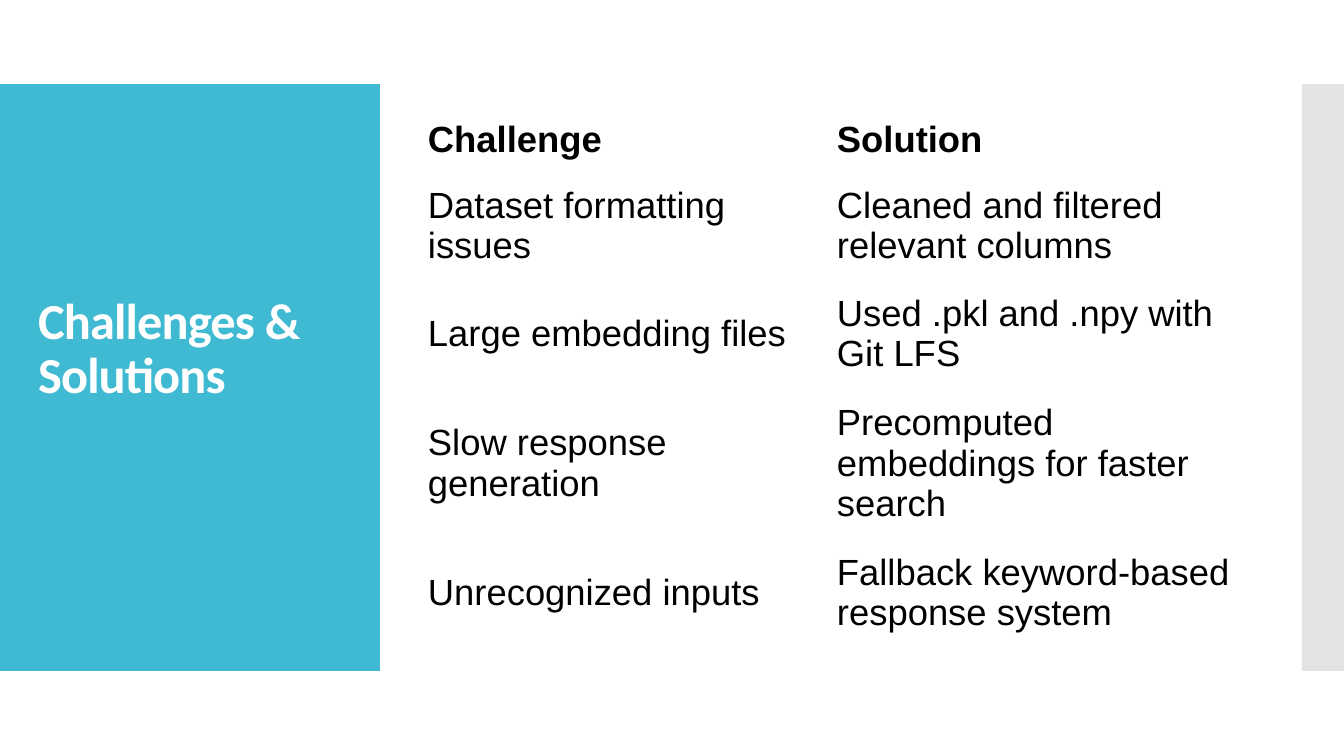
from pptx import Presentation
from pptx import util as u
from pptx.dml.color import RGBColor
from pptx.enum import shapes, text
from pptx.oxml import parse_xml
from pptx.oxml.ns import nsdecls, qn

# Content
TITLE = "Challenges & Solutions"
ROWS = [
    ("Challenge", "Solution"),
    ("Dataset formatting issues", "Cleaned and filtered relevant columns"),
    ("Large embedding files", "Used .pkl and .npy with Git LFS"),
    ("Slow response generation", "Precomputed embeddings for faster search"),
    ("Unrecognized inputs", "Fallback keyword-based response system"),
]

# Lengths in px
SLIDE_W, SLIDE_H = 1344, 756
BAND_TOP, BAND_H = 84, 587
TITLE_PANEL_W, EDGE_W = 380, 42
TITLE_BOX = (28, 124, 325, 507)
TITLE_INSETS = {"margin_left": 10, "margin_right": 10, "margin_top": 5, "margin_bottom": 60}
TABLE_LEFT, TABLE_TOP = 414, 108
COLUMN_WIDTHS = [409, 444]
ROW_HEIGHTS = [64, 108, 108, 151, 108]
CELL_INSETS = {"margin_left": 14, "margin_right": 14, "margin_top": 7, "margin_bottom": 7}

COLORS = {"panel": "40BAD2", "edge": "C8C8C8", "title": "FFFFFF", "body": "000000"}
TITLE_FONT = {"name": "Calibri", "size": u.Pt(36), "bold": True}
BODY_FONT = {"name": "Arial", "size": u.Pt(26)}
TABLE_FLAGS = {"first_row": False, "horz_banding": False}


def px(length):
    return u.Emu(round(length * 914400 / 100.8))


def apply(target, values):
    for key, value in values.items():
        setattr(target, key, value)


def set_insets(target, insets):
    apply(target, {side: px(length) for side, length in insets.items()})


def add_run(paragraph, words, font, color):
    run = paragraph.add_run()
    run.text = words
    apply(run.font, font)
    run.font.color.rgb = RGBColor.from_string(COLORS[color])
    return run


def add_band(left, width, color):
    band = slide.shapes.add_shape(
        shapes.MSO_SHAPE.RECTANGLE, px(left), px(BAND_TOP), px(width), px(BAND_H))
    band.shadow.inherit = False
    band.fill.solid()
    band.fill.fore_color.rgb = RGBColor.from_string(COLORS[color])
    band.line.fill.background()
    return band


deck = Presentation()
deck.slide_width, deck.slide_height = px(SLIDE_W), px(SLIDE_H)
slide = deck.slides.add_slide(deck.slide_layouts[6])

# Title panel and half-transparent right edge
add_band(0, TITLE_PANEL_W, "panel")
edge = add_band(SLIDE_W - EDGE_W, EDGE_W, "edge")
edge_color = edge.fill._xPr.find(qn("a:solidFill"))[0]
edge_color.append(parse_xml(f'<a:alpha {nsdecls("a")} val="50000"/>'))

# Title
title = slide.shapes.add_textbox(*map(px, TITLE_BOX)).text_frame
apply(title, {"word_wrap": True, "vertical_anchor": text.MSO_ANCHOR.MIDDLE})
set_insets(title, TITLE_INSETS)
title.paragraphs[0].line_spacing = 0.9
heading = add_run(title.paragraphs[0], TITLE, TITLE_FONT, "title")
heading.font._element.set("spc", "-60")

# Challenge and solution table
table = slide.shapes.add_table(
    len(ROWS), len(COLUMN_WIDTHS), px(TABLE_LEFT), px(TABLE_TOP),
    px(sum(COLUMN_WIDTHS)), px(sum(ROW_HEIGHTS))).table
apply(table, TABLE_FLAGS)
for column, width in zip(table.columns, COLUMN_WIDTHS):
    column.width = px(width)
for r, (row, height) in enumerate(zip(table.rows, ROW_HEIGHTS)):
    row.height = px(height)
    for cell, words in zip(row.cells, ROWS[r]):
        cell.fill.background()
        cell.vertical_anchor = text.MSO_ANCHOR.MIDDLE
        set_insets(cell, CELL_INSETS)
        add_run(cell.text_frame.paragraphs[0], words, {**BODY_FONT, "bold": r == 0}, "body")

deck.save("out.pptx")
